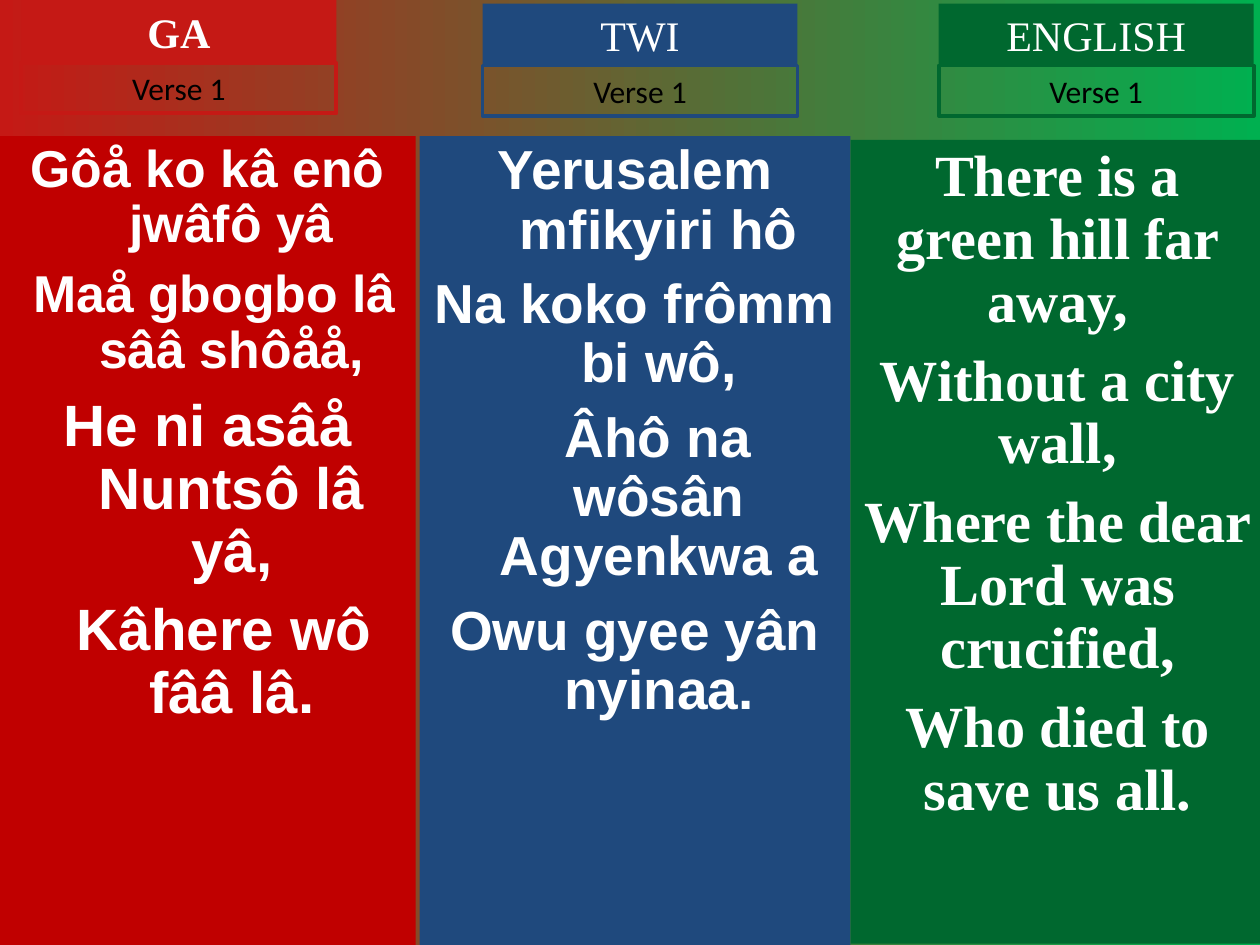
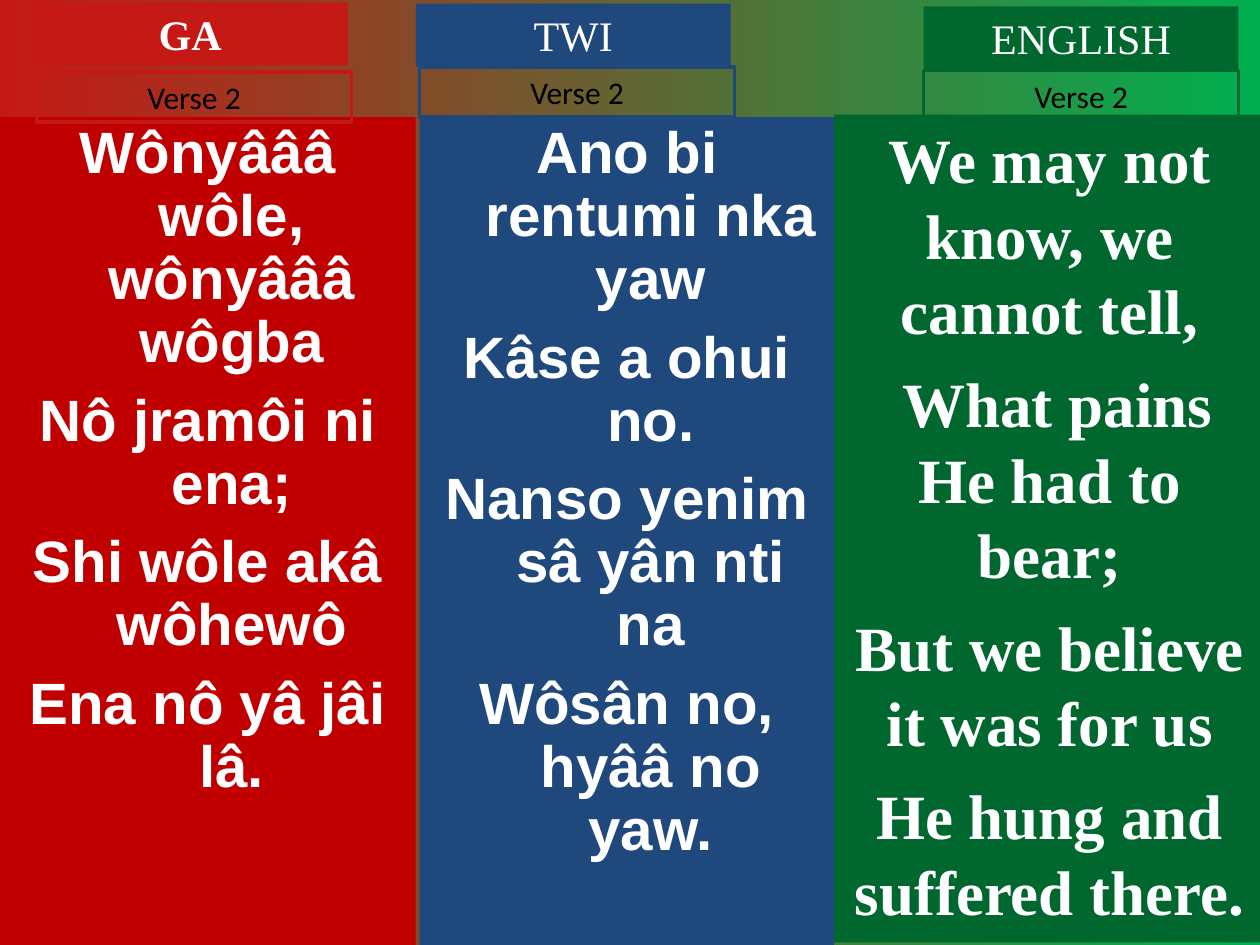
from dataclasses import dataclass
from typing import NamedTuple

from pptx import Presentation
from pptx.dml.color import RGBColor as Rgb
from pptx.enum.shapes import MSO_SHAPE as Shape
from pptx.enum.text import MSO_ANCHOR as Anchor, MSO_AUTO_SIZE as AutoSize, PP_ALIGN as Align
from pptx.util import Inches, Pt

WHITE, BLACK = "FFFFFF", "000000"
RED, GREEN = "C51915", "00B050"
SERIF = "Times New Roman"
LABEL_WIDTH, HEADER_HEIGHT, VERSE_HEIGHT = 2.5, 0.5, 0.4
HANG = 0.38


class Area(NamedTuple):
    left: float
    top: float
    width: float
    height: float


class Line(NamedTuple):
    text: str
    size: float
    nudge: float = 0


@dataclass
class Language:
    name: str
    accent: str
    panel: str
    font: str
    hang: float
    bold_header: bool = False


@dataclass
class Column:
    language: Language
    panel: Area
    header: tuple[float, float]
    verse: tuple[float, float]
    lines: list[Line]
    leading: float = 0.9


@dataclass
class Verse:
    label: str
    layers: list[list[Column]]


GA = Language("GA", RED, "C00000", "Arial", HANG, True)
TWI = Language("TWI", "1F497D", "1F497D", "Arial", HANG)
ENGLISH = Language("ENGLISH", "00682F", "00682F", SERIF, 0)

VERSES = [
    Verse("Verse 1", [
        [
            Column(GA, Area(0, 1.08, 3.3, 6.42), (0.17, 0), (0.17, 0.5), [
                Line("Gôå ko kâ enô jwâfô yâ", 29.6),
                Line("Maå gbogbo lâ sââ shôåå,", 29.6, 0.11),
                Line("He ni asâå Nuntsô lâ yâ,", 33.3),
                Line("Kâhere wô fââ lâ.", 33.3, 0.26),
            ]),
            Column(TWI, Area(3.33, 1.08, 3.42, 6.42), (3.83, 0.03), (3.83, 0.52), [
                Line("Yerusalem mfikyiri hô", 31.4),
                Line("Na koko frômm bi wô,", 31.4),
                Line("Âhô na wôsân Agyenkwa a", 31.4, 0.36),
                Line("Owu gyee yân nyinaa.", 31.4),
            ]),
        ],
        [
            Column(ENGLISH, Area(6.75, 1.11, 3.29, 6.38), (7.45, 0.03), (7.45, 0.52), [
                Line("There is a green hill far away,", 33.3),
                Line("Without a city wall,", 33.3),
                Line("Where the dear Lord was crucified,", 33.3),
                Line("Who died to save us all.", 33.3),
            ]),
        ],
    ]),
    Verse("Verse 2", [
        [
            Column(GA, Area(0, 0.93, 3.3, 6.57), (0.26, 0.02), (0.29, 0.57), [
                Line("Wônyâââ wôle, wônyâââ wôgba", 33.3),
                Line("Nô jramôi ni ena;", 33.3),
                Line("Shi wôle akâ wôhewô", 33.3),
                Line("Ena nô yâ jâi lâ.", 33.3),
            ]),
            Column(TWI, Area(3.33, 0.93, 3.29, 6.57), (3.3, 0.03), (3.33, 0.53), [
                Line("Ano bi rentumi nka yaw", 33.3),
                Line("Kâse a ohui no.", 33.3),
                Line("Nanso yenim sâ yân nti na", 33.3),
                Line("Wôsân no, hyââ no yaw.", 33.3),
            ]),
        ],
        [
            Column(ENGLISH, Area(6.62, 0.91, 3.42, 6.57), (7.33, 0.05), (7.33, 0.56), [
                Line("We may not know, we cannot tell,", 36),
                Line("What pains He had to bear;", 36, 0.12),
                Line("But we believe it was for us", 36),
                Line("He hung and suffered there.", 36),
            ], leading=1.0),
        ],
    ]),
]


def color(value: str) -> Rgb:
    return Rgb.from_string(value)


def apply(target, formats: dict) -> None:
    for name, value in formats.items():
        setattr(target, name, value)


def add_box(page, area: Area, fill: str = "", outline: str = ""):
    box = page.shapes.add_shape(Shape.RECTANGLE, *map(Inches, area))
    box.shadow.inherit = False
    if fill:
        box.fill.solid()
        box.fill.fore_color.rgb = color(fill)
    else:
        box.fill.background()
    if outline:
        box.line.color.rgb = color(outline)
        box.line.width = Pt(2.25)
    else:
        box.line.fill.background()
    apply(box.text_frame, {
        "word_wrap": True,
        "vertical_anchor": Anchor.TOP,
        "margin_left": Inches(0.1),
        "margin_right": Inches(0.1),
        "margin_top": Inches(0.05),
        "margin_bottom": Inches(0.05),
    })
    return box


def write(para, text: str, font: str, size: float, ink: str, bold: bool) -> None:
    para.alignment = Align.CENTER
    span = para.add_run()
    span.text = text
    apply(span.font, {"name": font, "size": Pt(size), "bold": bold})
    span.font.color.rgb = color(ink)


def add_panel(page, column: Column) -> None:
    language = column.language
    frame = add_box(page, column.panel, fill=language.panel).text_frame
    for index, line in enumerate(column.lines):
        para = frame.add_paragraph() if index else frame.paragraphs[0]
        properties = para._p.get_or_add_pPr()
        properties.set("marL", str(Inches(language.hang)))
        properties.set("indent", str(Inches(line.nudge - language.hang)))
        para.line_spacing = column.leading
        para.space_before = Pt(round(line.size * 0.27, 1) if index else 0)
        write(para, line.text, language.font, line.size, WHITE, True)


def add_header(page, column: Column) -> None:
    language = column.language
    box = add_box(page, Area(*column.header, LABEL_WIDTH, HEADER_HEIGHT), fill=language.accent)
    box.text_frame.auto_size = AutoSize.SHAPE_TO_FIT_TEXT
    write(box.text_frame.paragraphs[0], language.name, SERIF, 24, WHITE, language.bold_header)


def add_verse_label(page, column: Column, label: str) -> None:
    area = Area(*column.verse, LABEL_WIDTH, VERSE_HEIGHT)
    box = add_box(page, area, outline=column.language.accent)
    box.text_frame.auto_size = AutoSize.SHAPE_TO_FIT_TEXT
    write(box.text_frame.paragraphs[0], label, "Calibri", 18, BLACK, False)


def paint_background(page) -> None:
    fill = page.background.fill
    fill.gradient()
    fill.gradient_angle = 0
    for stop, position, value in zip(fill.gradient_stops, (0, 1), (RED, GREEN)):
        stop.position = position
        stop.color.rgb = color(value)


def add_verse(deck, verse: Verse) -> None:
    page = deck.slides.add_slide(deck.slide_layouts[6])
    paint_background(page)
    for columns in verse.layers:
        for column in columns:
            add_panel(page, column)
        for column in columns:
            add_header(page, column)
        for column in columns:
            add_verse_label(page, column, verse.label)


def main() -> None:
    deck = Presentation()
    deck.slide_width, deck.slide_height = Inches(10), Inches(7.5)
    for verse in VERSES:
        add_verse(deck, verse)
    deck.save("out.pptx")


if __name__ == "__main__":
    main()
